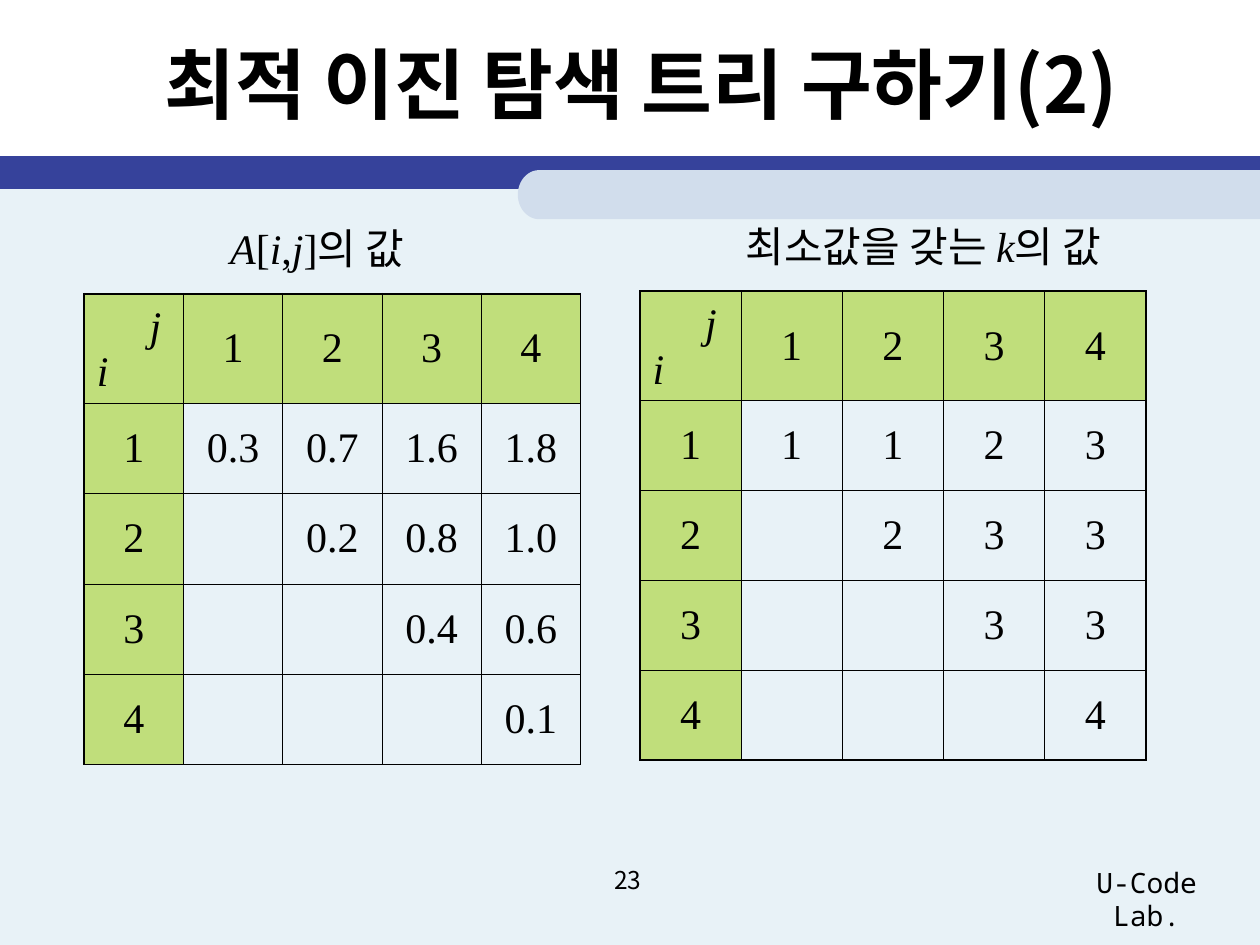
from math import cos, pi, sin

from lxml.etree import SubElement
from pptx import Presentation
from pptx.dml.color import RGBColor
from pptx.enum.shapes import MSO_SHAPE
from pptx.enum.text import MSO_ANCHOR, MSO_AUTO_SIZE, PP_ALIGN
from pptx.oxml.ns import qn
from pptx.util import Cm, Pt

SERIF = "Times New Roman"
KOREAN = "Noto Sans CJK KR"
MONO = "Noto Sans Mono"
BLACK = "000000"
HEADER_GREEN = "99CC00"
OUTER_LINE, INNER_LINE = 1.08, 0.45


def paint(fill, color, alpha=None):
    """Fill with a hex colour; alpha is the opacity in percent."""
    fill.solid()
    fill.fore_color.rgb = RGBColor.from_string(color)
    if alpha is not None:
        rgb = fill._xPr.find(qn("a:solidFill")).find(qn("a:srgbClr"))
        SubElement(rgb, qn("a:alpha"), val=str(alpha * 1000))


def write(paragraph, text, font=SERIF, size=24, bold=False, italic=False,
          align=PP_ALIGN.LEFT, before=0, spacing=None, indent=0):
    """Add one run of text to a paragraph and format both."""
    paragraph.alignment = align
    paragraph.space_before = Pt(before)
    if spacing:
        paragraph.line_spacing = spacing
    if indent:
        paragraph._p.get_or_add_pPr().set("marL", str(Cm(indent)))
    run = paragraph.add_run()
    run.text = text
    run.font.name = font
    run.font.size = Pt(size)
    run.font.bold = bold
    run.font.italic = italic
    run.font.color.rgb = RGBColor.from_string(BLACK)
    SubElement(run.font._element, qn("a:ea"), typeface=KOREAN)


def add_text_box(slide, left, top, width, height, wrap=True, grow=False,
                 anchor=MSO_ANCHOR.TOP):
    """Add an empty text box and return its first paragraph."""
    frame = slide.shapes.add_textbox(Cm(left), Cm(top), Cm(width), Cm(height)).text_frame
    frame.word_wrap = wrap
    frame.vertical_anchor = anchor
    frame.auto_size = MSO_AUTO_SIZE.SHAPE_TO_FIT_TEXT if grow else MSO_AUTO_SIZE.NONE
    return frame.paragraphs[0]


def add_caption(slide, left, top, width, pieces):
    """Add a caption from (text, italic) pieces."""
    caption = add_text_box(slide, left, top, width, 1.27, wrap=False, grow=True)
    for text, italic in pieces:
        write(caption, text, italic=italic)


def add_band(slide, top, height, color):
    band = slide.shapes.add_shape(MSO_SHAPE.RECTANGLE, 0, Cm(top), Cm(25.4), Cm(height))
    finish(band, color)


def add_round_tab(slide, left, top, height, color, end_width=0.43, steps=24):
    """Add a tab with a round left end that reaches the right slide edge."""
    radius = height / 2
    angles = [pi / 2 + pi * step / steps for step in range(steps + 1)]
    arc = [(Cm(left + end_width * (1 + cos(a))), Cm(top + radius * (1 - sin(a))))
           for a in angles]
    outline = slide.shapes.build_freeform(Cm(25.4), Cm(top))
    outline.add_line_segments(arc + [(Cm(25.4), Cm(top + height))], close=True)
    finish(outline.convert_to_shape(), color)


def finish(shape, color):
    shape.shadow.inherit = False
    shape.line.fill.background()
    paint(shape.fill, color)


def set_borders(cell, widths):
    """Draw the cell borders; widths maps L, R, T and B to points."""
    properties = cell._tc.get_or_add_tcPr()
    for side in "LRTB":
        line = SubElement(properties, qn(f"a:ln{side}"), w=str(Pt(widths[side])))
        fill = SubElement(line, qn("a:solidFill"))
        SubElement(fill, qn("a:srgbClr"), val=BLACK)


def write_corner(cell):
    write(cell.text_frame.paragraphs[0], "j", italic=True, before=6, indent=1.06)
    write(cell.text_frame.add_paragraph(), "i", italic=True, before=6, spacing=0.7)


def add_triangle_table(slide, left, top, column_width, row_height, triangle):
    """Add an i by j table whose row i holds values from column i on."""
    count = len(triangle)
    labels = [str(n) for n in range(1, count + 1)]
    grid = [[""] + labels]
    for i, values in enumerate(triangle):
        grid.append([labels[i]] + [""] * i + values)

    header_height = 2.21
    table = slide.shapes.add_table(
        count + 1, count + 1, Cm(left), Cm(top), Cm(column_width * (count + 1)),
        Cm(header_height + row_height * count)).table
    table.first_row = table.horz_banding = False
    for column in table.columns:
        column.width = Cm(column_width)
    for i, row in enumerate(table.rows):
        row.height = Cm(row_height if i else header_height)
        for j, cell in enumerate(row.cells):
            on_edge = {"L": j == 0, "R": j == count, "T": i == 0, "B": i == count}
            set_borders(cell, {side: OUTER_LINE if edge else INNER_LINE
                               for side, edge in on_edge.items()})
            cell.vertical_anchor = MSO_ANCHOR.MIDDLE
            if i == 0 or j == 0:
                paint(cell.fill, HEADER_GREEN, alpha=50)
            else:
                cell.fill.background()
            if i == j == 0:
                write_corner(cell)
            elif grid[i][j]:
                write(cell.text_frame.paragraphs[0], grid[i][j],
                      align=PP_ALIGN.CENTER, before=6)


def main():
    deck = Presentation()
    deck.slide_width, deck.slide_height = Cm(25.4), Cm(19.05)
    slide = deck.slides.add_slide(deck.slide_layouts[6])

    add_band(slide, 3.56, 15.49, "E8F2F7")
    add_band(slide, 3.15, 0.66, "36429B")
    add_round_tab(slide, 10.44, 3.43, 0.99, "D1DDEC")

    write(add_text_box(slide, 21.11, 17.32, 4.01, 0.94, grow=True), "U-Code Lab.",
          font=MONO, size=16, align=PP_ALIGN.CENTER, before=10)
    write(add_text_box(slide, 9.7, 17.32, 5.92, 1.32), "23",
          font=KOREAN, size=14, align=PP_ALIGN.CENTER)
    write(add_text_box(slide, 1.5, 0.2, 22.86, 2.92, anchor=MSO_ANCHOR.MIDDLE),
          "최적 이진 탐색 트리 구하기(2)",
          font=KOREAN, size=44, bold=True, align=PP_ALIGN.CENTER)

    add_triangle_table(slide, 1.7, 5.92, 2, 1.82, [
        ["0.3", "0.7", "1.6", "1.8"],
        ["0.2", "0.8", "1.0"],
        ["0.4", "0.6"],
        ["0.1"],
    ])
    add_triangle_table(slide, 12.9, 5.87, 2.04, 1.81, [
        ["1", "1", "2", "3"],
        ["2", "3", "3"],
        ["3", "3"],
        ["4"],
    ])
    add_caption(slide, 4.39, 4.37, 4.27, [
        ("A", True), ("[", False), ("i", True), (",", False), ("j", True), ("]의 값", False)])
    add_caption(slide, 14.78, 4.32, 8.23, [
        ("최소값을 갖는 ", False), ("k", True), ("의 값", False)])

    deck.save("out.pptx")


if __name__ == "__main__":
    main()
